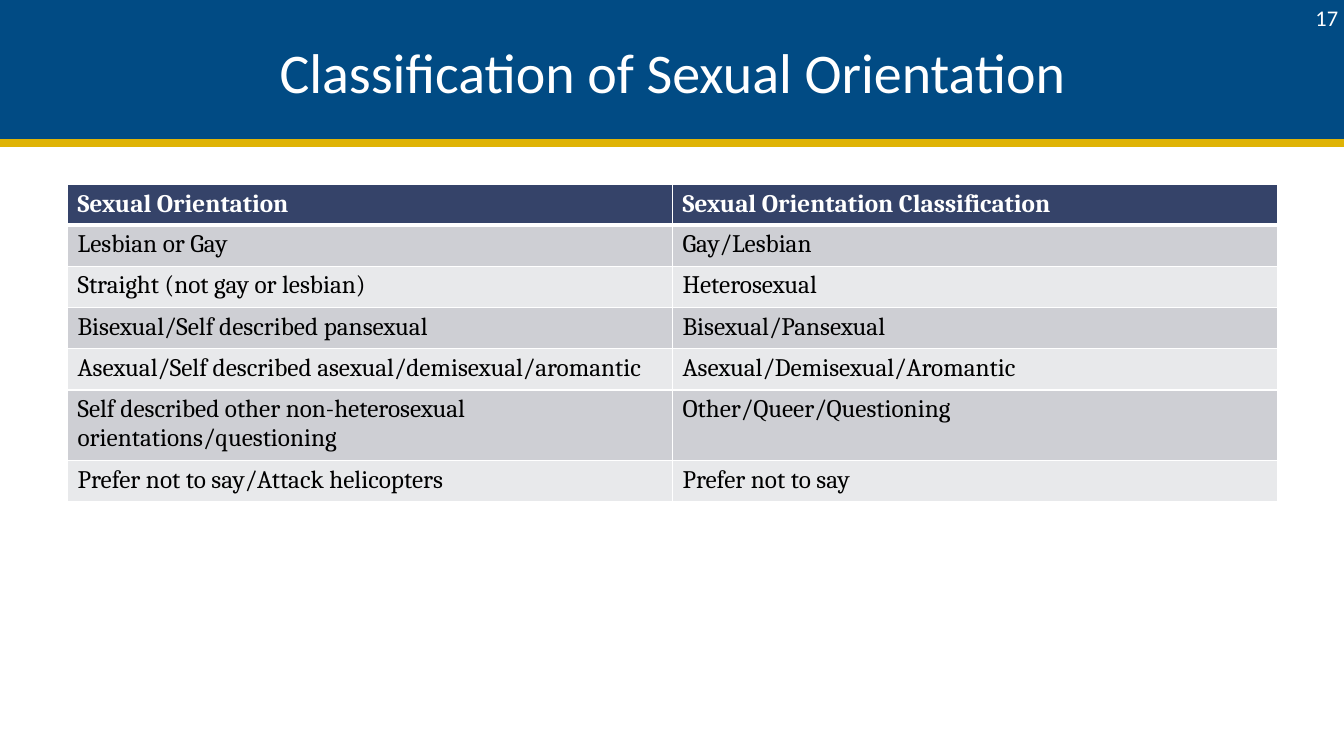
from lxml import etree
from pptx import Presentation
from pptx import util as u
from pptx.dml.color import RGBColor
from pptx.enum import shapes, text
from pptx.oxml import ns

# Content
TITLE = "Classification of Sexual Orientation"
PAGE_NUMBER = "17"
ROWS = [
    ("Sexual Orientation", "Sexual Orientation Classification"),
    ("Lesbian or Gay", "Gay/Lesbian"),
    ("Straight (not gay or lesbian)", "Heterosexual"),
    ("Bisexual/Self described pansexual", "Bisexual/Pansexual"),
    ("Asexual/Self described asexual/demisexual/aromantic", "Asexual/Demisexual/Aromantic"),
    ("Self described other non-heterosexual orientations/questioning", "Other/Queer/Questioning"),
    ("Prefer not to say/Attack helicopters", "Prefer not to say"),
]

# Style
WHITE = RGBColor(0xFF, 0xFF, 0xFF)
BLACK = RGBColor(0x00, 0x00, 0x00)
BLUE = RGBColor(0x01, 0x4B, 0x84)
GOLD = RGBColor(0xDF, 0xB3, 0x05)
NAVY = RGBColor(0x35, 0x43, 0x69)
BANDS = (RGBColor(0xE8, 0xE9, 0xEB), RGBColor(0xCE, 0xCF, 0xD4))
HEADER_HEIGHT, ROW_HEIGHT = 0.32, 0.41
BANNER_BOTTOM = 1.42


def add_span(para, words, font, size, color, bold=False):
    span = para.add_run()
    span.text = words
    span.font.name = font
    span.font.size = u.Pt(size)
    span.font.color.rgb = color
    span.font.bold = bold


def add_label(page, place, words, size, align):
    box = page.shapes.add_textbox(*map(u.Inches, place))
    box.text_frame.word_wrap = True
    box.text_frame.vertical_anchor = text.MSO_ANCHOR.MIDDLE
    para = box.text_frame.paragraphs[0]
    para.alignment = align
    add_span(para, words, "Calibri", size, WHITE)


def set_borders(cell, bottom_width):
    properties = cell._tc.get_or_add_tcPr()
    widths = {"a:lnL": 1, "a:lnR": 1, "a:lnT": 1, "a:lnB": bottom_width}
    for index, (side, width) in enumerate(widths.items()):
        line = etree.Element(ns.qn(side), w=str(u.Pt(width)))
        fill = etree.SubElement(line, ns.qn("a:solidFill"))
        etree.SubElement(fill, ns.qn("a:srgbClr"), val=str(WHITE))
        properties.insert(index, line)


def add_banner(page):
    banner = page.shapes.add_shape(
        shapes.MSO_SHAPE.RECTANGLE,
        u.Inches(-0.03), 0, u.Inches(13.4), u.Inches(BANNER_BOTTOM))
    banner.shadow.inherit = False
    banner.fill.solid()
    banner.fill.fore_color.rgb = BLUE
    banner.line.color.rgb = BLUE
    banner.line.width = u.Pt(2)

    rule = page.shapes.add_connector(
        shapes.MSO_CONNECTOR.STRAIGHT,
        u.Inches(-0.08), u.Inches(BANNER_BOTTOM), u.Inches(13.41), u.Inches(BANNER_BOTTOM))
    rule.line.color.rgb = GOLD
    rule.line.width = u.Pt(6)
    etree.SubElement(rule._element.spPr, ns.qn("a:effectLst"))


def add_classification_table(page):
    heights = [HEADER_HEIGHT] + [ROW_HEIGHT] * (len(ROWS) - 1)
    table = page.shapes.add_table(
        len(ROWS), len(ROWS[0]),
        u.Inches(0.67), u.Inches(1.83), u.Inches(12), u.Inches(sum(heights))).table
    for row_index, words_in_row in enumerate(ROWS):
        table.rows[row_index].height = u.Inches(heights[row_index])
        header = row_index == 0
        for column_index, words in enumerate(words_in_row):
            cell = table.cell(row_index, column_index)
            cell.fill.solid()
            cell.fill.fore_color.rgb = NAVY if header else BANDS[row_index % 2]
            set_borders(cell, 3 if header else 1)
            add_span(cell.text_frame.paragraphs[0], words, "Cambria", 18,
                     WHITE if header else BLACK, header)


def main():
    deck = Presentation()
    deck.slide_width, deck.slide_height = u.Inches(13.33), u.Inches(7.5)
    page = deck.slides.add_slide(deck.slide_layouts[6])

    # Banner, title, table and page number
    add_banner(page)
    add_label(page, (0.67, 0.08, 12, 1.25), TITLE, 40, text.PP_ALIGN.CENTER)
    add_classification_table(page)
    add_label(page, (12.75, 0, 0.62, 0.35), PAGE_NUMBER, 16, text.PP_ALIGN.RIGHT)
    deck.save("out.pptx")


if __name__ == "__main__":
    main()
